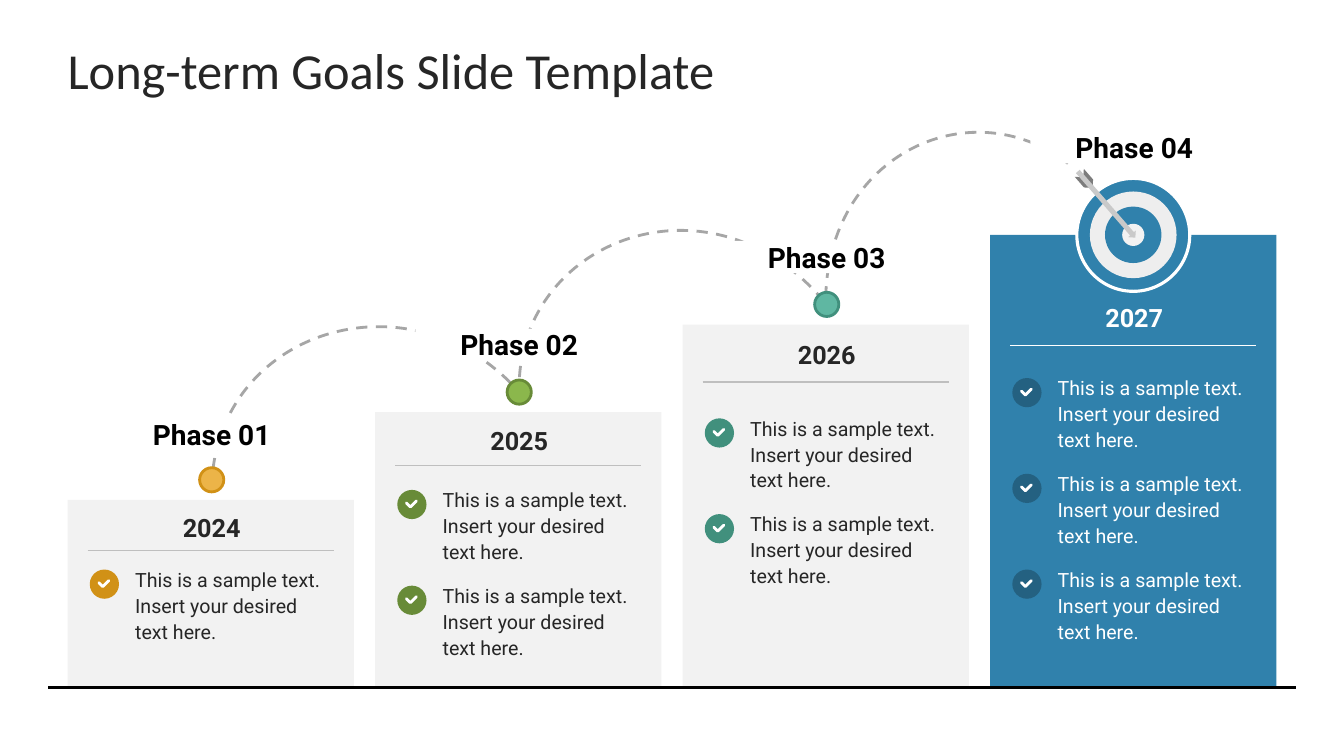
from pptx import Presentation, util as u
from pptx.dml.color import RGBColor
from pptx.enum import dml, shapes, text
from pptx.oxml.ns import qn
from lxml import etree

HUE = {"ink": "262626", "black": "000000", "white": "FFFFFF", "panel": "F2F2F2",
       "ring": "EEEEEE", "rule": "BFBFBF", "arc": "A6A6A6", "shaft": "C9C9C9",
       "vane": "7C7C7C", "blue": "3081AC", "navy": "246181",
       "gold": "ECB448", "amber": "D19116", "lime": "8BB74C", "moss": "688B38",
       "mint": "5FB7A2", "teal": "41907D"}
KIND = shapes.MSO_SHAPE
SAMPLE = "This is a sample text. Insert your desired text here."

deck = Presentation()
deck.slide_width, deck.slide_height = u.Inches(13.33), u.Inches(7.5)
slide = deck.slides.add_slide(deck.slide_layouts[6])


def put(words, x, y, w, h, kind=None, fill=None, edge=None, weight=2, turn=0,
        size=14, color="ink", font="Roboto", bold=False, align="LEFT",
        anchor="MIDDLE", space=1.0):
    box = [u.Inches(v) for v in (x, y, w, h)]
    if kind is None:
        item = slide.shapes.add_textbox(*box)
    else:
        item = slide.shapes.add_shape(kind, *box)
        item.shadow.inherit = False
        item.rotation = turn
        item.fill.solid()
        item.fill.fore_color.rgb = RGBColor.from_string(HUE[fill])
        if edge:
            item.line.color.rgb = RGBColor.from_string(HUE[edge])
            item.line.width = u.Pt(weight)
        else:
            item.line.fill.background()
    if words:
        frame = item.text_frame
        frame.word_wrap = True
        frame.margin_left = frame.margin_right = 0
        frame.margin_top = frame.margin_bottom = 0
        frame.vertical_anchor = getattr(text.MSO_ANCHOR, anchor)
        para = frame.paragraphs[0]
        para.alignment = getattr(text.PP_ALIGN, align)
        para.line_spacing = space
        run = para.add_run()
        run.text = words
        run.font.name, run.font.size, run.font.bold = font, u.Pt(size), bold
        run.font.color.rgb = RGBColor.from_string(HUE[color])


def trace(dots, color):
    dots = [(u.Inches(x), u.Inches(y)) for x, y in dots]
    pen = slide.shapes.build_freeform(*dots[0])
    pen.add_line_segments(dots[1:], close=False)
    item = pen.convert_to_shape()
    item.shadow.inherit = False
    item.fill.background()
    item.line.color.rgb = RGBColor.from_string(HUE[color])
    item.line.width = u.Pt(2)
    return item


# Title
put("Long-term Goals Slide Template", 0.67, 0.3, 12, 0.78,
    size=36, font="Calibri")

# Dashed arcs from phase to phase: lines set the frame, curves replace them
arcs = [((2.12, 3.29), (4.06, 2.66), (5.15, 3.89)),
        ((5.11, 2.39), (7.05, 1.63), (8.19, 3.01)),
        ((8.18, 1.52), (9.67, 0.85), (10.64, 1.66))]
trail = trace([(2.1, 4.85), (10.64, 1.31), (10.64, 1.66)], "arc")
trail.line.dash_style = dml.MSO_LINE.DASH
route = next(trail._element.iter(qn("a:path")))
for leg in route.findall(qn("a:lnTo")):
    route.remove(leg)
for arc in arcs:
    leg = etree.SubElement(route, qn("a:cubicBezTo"))
    for x, y in arc:
        etree.SubElement(leg, qn("a:pt"), x=str(u.Inches(x) - trail.left),
                         y=str(u.Inches(y) - trail.top))

# Columns: top, phase, year, rule and list heights, item count, colours
LEFT, PITCH, WIDE, BASE, GAP = 0.67, 3.05, 2.84, 6.82, 0.95
cols = [(4.96, 4.15, 5.08, 5.46, 5.61, 1, "panel", "ink", "rule", "amber", "gold"),
        (4.09, 3.26, 4.22, 4.62, 4.82, 2, "panel", "ink", "rule", "moss", "lime"),
        (3.22, 2.39, 3.37, 3.79, 4.11, 2, "panel", "ink", "rule", "teal", "mint"),
        (2.33, 1.3, 3.0, 3.43, 3.71, 3, "blue", "white", "white", "navy", None)]
rules = []
for i, (top, phase, year, rule, first, count, back, ink, line, dark, light) in enumerate(cols):
    x = LEFT + i * PITCH
    put("", x, top, WIDE, BASE - top, KIND.RECTANGLE, back)
    put(str(2024 + i), x + 0.33, year, 2.2, 0.3, size=18, color=ink,
        bold=True, align="CENTER")
    rules.append((x + 0.2, x + 2.64, rule, line, 0.75))
    # Checked items
    for n in range(count):
        y = first + n * GAP
        put(SAMPLE, x + 0.67, y, 1.98, 0.79, color=ink, anchor="TOP", space=1.1)
        put("", x + 0.22, y + 0.04, 0.29, 0.29, KIND.OVAL, dark)
        tick = trace([(x + 0.41, y + 0.15), (x + 0.35, y + 0.21), (x + 0.31, y + 0.17)],
                     "white")
        tick.line._get_or_add_ln().set("cap", "rnd")
    # Phase label and dot
    if light:
        put("", x + 1.31, top - 0.32, 0.24, 0.24, KIND.OVAL, light, dark)
    put(f"Phase {i + 1:02}", x + 0.4, phase, 2.06, 0.32, KIND.RECTANGLE, "white",
        size=20, color="black", bold=True, align="CENTER")

# Target with arrow
for d, fill, edge in ((1.12, "blue", "white"), (0.86, "ring", None),
                      (0.56, "blue", None), (0.22, "panel", None)):
    put("", 11.24 - d / 2, 2.33 - d / 2, d, d, KIND.OVAL, fill, edge, 2.25)
put("", 10.67, 1.73, 0.2, 0.12, KIND.CHEVRON, "vane", turn=49)
put("", 10.54, 1.98, 0.87, 0.1, KIND.RIGHT_ARROW, "shaft", turn=49)

# Rules and base line
for x, end, y, color, weight in rules + [(0.48, 12.85, BASE, "black", 2)]:
    item = slide.shapes.add_connector(
        shapes.MSO_CONNECTOR.STRAIGHT, *[u.Inches(v) for v in (x, y, end, y)])
    item.line.color.rgb = RGBColor.from_string(HUE[color])
    item.line.width = u.Pt(weight)
    etree.SubElement(item._element.spPr, qn("a:effectLst"))

deck.save("out.pptx")
